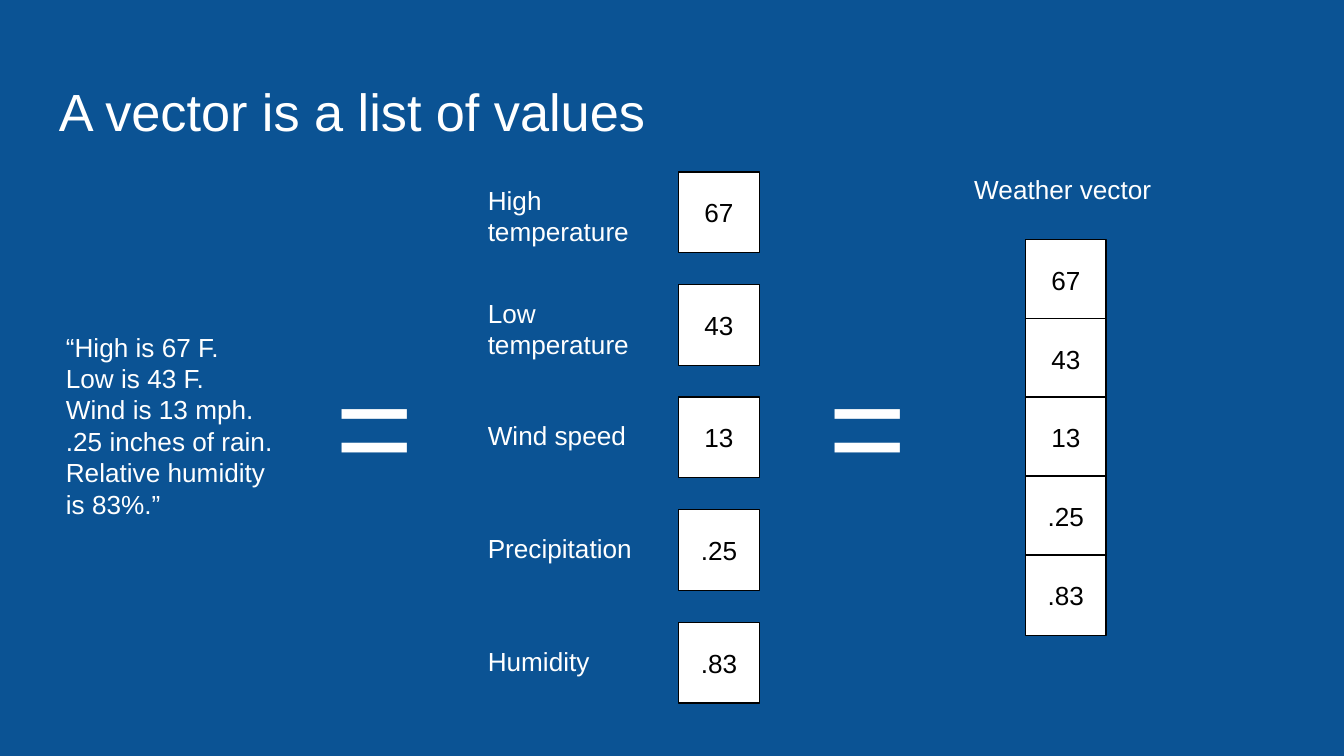
from pptx import Presentation
from pptx.dml.color import RGBColor
from pptx.enum.shapes import MSO_SHAPE as Shape
from pptx.enum.text import MSO_ANCHOR as Anchor, PP_ALIGN as Align
from pptx.util import Pt

BLUE, WHITE, BLACK = "0B5394", "FFFFFF", "000000"


def color(hex_code):
    return RGBColor.from_string(hex_code)


class VectorSlide:
    """Holds the text style and the slide being drawn on."""

    font = "Arial"
    size = 14
    inset = 7.2
    cell = 43.2

    def __init__(self, slide):
        self.slide = slide
        fill = slide.background.fill
        fill.solid()
        fill.fore_color.rgb = color(BLUE)

    def fill_frame(self, frame, lines, size, ink, align, anchor):
        """Set the lines in a text frame, one paragraph each."""
        frame.word_wrap = True
        frame.vertical_anchor = anchor
        frame.margin_left = frame.margin_right = Pt(self.inset)
        frame.margin_top = frame.margin_bottom = Pt(self.inset)
        for i, line in enumerate(lines):
            paragraph = frame.add_paragraph() if i else frame.paragraphs[0]
            paragraph.alignment = align
            run = paragraph.add_run()
            run.text = line
            run.font.name = self.font
            run.font.size = Pt(size)
            run.font.color.rgb = color(ink)

    def text(self, left, top, width, height, *lines, size=size):
        box = self.slide.shapes.add_textbox(Pt(left), Pt(top), Pt(width), Pt(height))
        self.fill_frame(box.text_frame, lines, size, WHITE, Align.LEFT, Anchor.TOP)

    def value_cell(self, left, top, value):
        """Draw one outlined square of a vector."""
        square = self.slide.shapes.add_shape(
            Shape.RECTANGLE, Pt(left), Pt(top), Pt(self.cell), Pt(self.cell))
        square.shadow.inherit = False
        square.fill.solid()
        square.fill.fore_color.rgb = color(WHITE)
        square.line.color.rgb = color(BLACK)
        square.line.width = Pt(0.75)
        self.fill_frame(square.text_frame, [value], self.size, BLACK,
                        Align.CENTER, Anchor.MIDDLE)


def main():
    deck = Presentation()
    deck.slide_width, deck.slide_height = Pt(720), Pt(405)
    page = VectorSlide(deck.slides.add_slide(deck.slide_layouts[6]))

    page.text(24.5, 35, 671, 45.5, "A vector is a list of values", size=28)
    page.text(28.2, 170.2, 129, 30,
              "“High is 67 F.",
              "Low is 43 F.",
              "Wind is 13 mph.",
              ".25 inches of rain.",
              "Relative humidity is 83%.”")
    for equals_left in (172.8, 436.6):
        page.text(equals_left, 175.7, 83.5, 114.5, "=", size=72)
    page.text(514.8, 85.7, 150.5, 37.4, "Weather vector")

    # Label, value, and the label's offset from the top of its value cell
    two_lines, one_line = -0.6, 4.9
    readings = [
        ("High temperature", "67", two_lines),
        ("Low temperature", "43", two_lines),
        ("Wind speed", "13", one_line),
        ("Precipitation", ".25", one_line),
        ("Humidity", ".83", one_line),
    ]
    list_top, list_pitch = 92.2, 60.3
    vector_top, vector_pitch = 128.2, 42.3
    for i, (label, value, offset) in enumerate(readings):
        row_top = list_top + i * list_pitch
        page.text(254.2, row_top + offset, 109.4, 30.2, label)
        page.value_cell(363.6, row_top, value)
        page.value_cell(549.4, vector_top + i * vector_pitch, value)

    deck.save("out.pptx")


if __name__ == "__main__":
    main()
